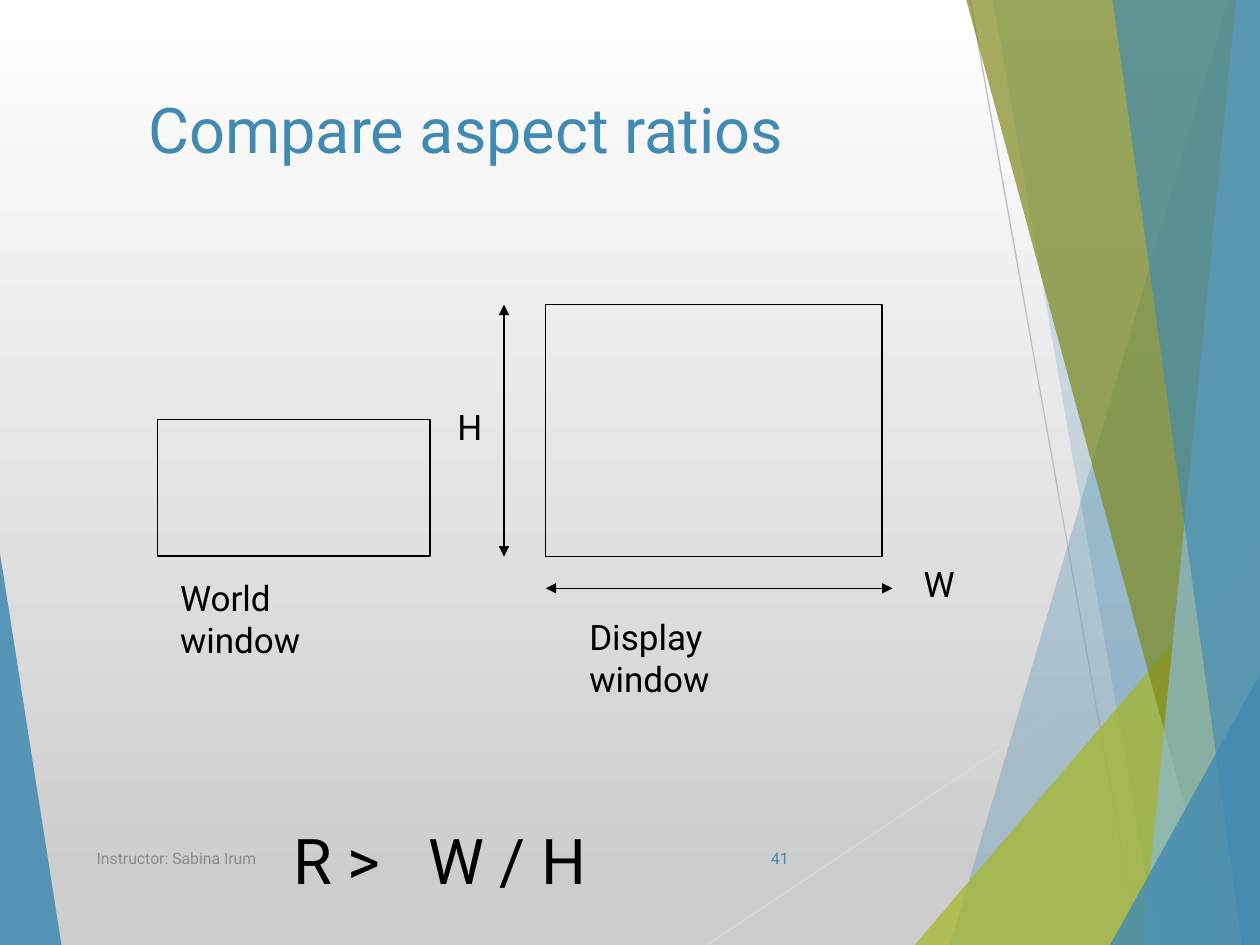
from dataclasses import dataclass

from lxml import etree
from pptx import Presentation
from pptx.dml.color import RGBColor
from pptx.enum.shapes import MSO_CONNECTOR, MSO_SHAPE
from pptx.enum.text import MSO_ANCHOR, MSO_AUTO_SIZE, PP_ALIGN
from pptx.oxml.ns import qn
from pptx.util import Cm, Pt

STRAIGHT = MSO_CONNECTOR.STRAIGHT
RECTANGLE = MSO_SHAPE.RECTANGLE
TOP, MIDDLE = MSO_ANCHOR.TOP, MSO_ANCHOR.MIDDLE
LEFT, RIGHT = PP_ALIGN.LEFT, PP_ALIGN.RIGHT
NO_AUTO_SIZE = MSO_AUTO_SIZE.NONE
TITLE_ONLY = 5
WIDTH, HEIGHT = 25.4, 19.05


@dataclass(frozen=True)
class Theme:
    font: str = "Roboto"
    accent: str = "418AB3"
    sky: str = "8ABAD4"
    lime: str = "A6B727"
    olive: str = "7D891D"
    ink: str = "000000"
    muted: str = "8C8C8C"
    pale_line: str = "D9D9D9"
    gray_line: str = "BFBFBF"
    background_top: str = "FFFFFF"
    background_bottom: str = "CDCDCD"
    title_size: float = 36
    label_size: float = 20
    footer_size: float = 9
    line_width: float = 0.75


THEME = Theme()


def color(value):
    return RGBColor.from_string(value)


def write_text(shape, text, size=THEME.label_size, text_color=THEME.ink,
               align=LEFT, anchor=TOP, wrap=False, right_inset=0.25, tab=None):
    frame = shape.text_frame
    frame.auto_size = NO_AUTO_SIZE
    frame.word_wrap = wrap
    frame.vertical_anchor = anchor
    frame.margin_right = Cm(right_inset)
    paragraph = frame.paragraphs[0]
    paragraph.alignment = align
    if tab:
        tabs = etree.SubElement(paragraph._p.get_or_add_pPr(), qn("a:tabLst"))
        etree.SubElement(tabs, qn("a:tab"), pos=str(Cm(tab)), algn="l")
    run = paragraph.add_run()
    run.text = text
    run.font.name = THEME.font
    run.font.size = Pt(size)
    run.font.color.rgb = color(text_color)


def add_text(slide, text, left, top, width, height, **text_format):
    box = slide.shapes.add_textbox(Cm(left), Cm(top), Cm(width), Cm(height))
    write_text(box, text, **text_format)


def add_line(slide, start, end, line_color=THEME.ink, arrows=False):
    connector = slide.shapes.add_connector(
        STRAIGHT, Cm(start[0]), Cm(start[1]), Cm(end[0]), Cm(end[1]))
    connector.line.color.rgb = color(line_color)
    connector.line.width = Pt(THEME.line_width)
    if arrows:
        line = connector.line._get_or_add_ln()
        for tag in ("a:headEnd", "a:tailEnd"):
            etree.SubElement(line, qn(tag), type="triangle")
    etree.SubElement(connector._element.spPr, qn("a:effectLst"))


def add_facet(slide, top_point, bottom_left, edge, bottom, fill_color, opacity):
    top_left, top = top_point
    points = [(top_left, top), (bottom_left, bottom), (edge, bottom), (edge, top)]
    points = [(x * 100, y * 100) for x, y in points]
    builder = slide.shapes.build_freeform(*points[0], scale=Cm(0.01))
    builder.add_line_segments(points[1:], close=True)
    shape = builder.convert_to_shape()
    shape.shadow.inherit = False
    shape.fill.solid()
    shape.fill.fore_color.rgb = color(fill_color)
    shape.line.fill.background()
    tint = shape._element.spPr.find(qn("a:solidFill"))[0]
    etree.SubElement(tint, qn("a:alpha"), val=str(opacity * 1000))


def add_frame(slide, left, top, width, height):
    frame = slide.shapes.add_shape(RECTANGLE, Cm(left), Cm(top), Cm(width), Cm(height))
    frame.shadow.inherit = False
    frame.fill.background()
    frame.line.color.rgb = color(THEME.ink)
    frame.line.width = Pt(THEME.line_width)


def set_background(slide):
    fill = slide.background.fill
    fill.gradient()
    fill.gradient_angle = 270
    stops = ((0, THEME.background_top), (0.94, THEME.background_bottom))
    for stop, (position, stop_color) in zip(fill.gradient_stops, stops):
        stop.position = position
        stop.color.rgb = color(stop_color)


def add_decoration(slide, left, top, width, height):
    right, bottom = left + width, top + height
    add_facet(slide, (left, top + 11.15), left + 1.24, left, bottom, THEME.accent, 85)
    add_line(slide, (left + 14.25, bottom), (right, top + 11.61), THEME.pale_line)
    add_line(slide, (left + 19.56, top), (left + 22.96, bottom), THEME.gray_line)
    facets = (
        (24.77, 0, 19.15, THEME.accent, 30),
        (20.02, 0, 23.34, THEME.accent, 20),
        (width, 10.9, 18.44, THEME.lime, 72),
        (19.48, 0, 24.64, THEME.olive, 70),
        (24.92, 0, 23.04, THEME.sky, 70),
        (22.43, 0, 25.04, THEME.accent, 65),
        (width, 13.59, 22.38, THEME.accent, 80),
    )
    for x, y, bottom_x, fill_color, opacity in facets:
        add_facet(slide, (left + x, top + y), left + bottom_x, right, bottom,
                  fill_color, opacity)


def add_title(slide, left, top, width, height):
    title = slide.shapes.title
    title.left, title.top = Cm(left), Cm(top)
    title.width, title.height = Cm(width), Cm(height)
    write_text(title, "Compare aspect ratios", size=THEME.title_size,
               text_color=THEME.accent, wrap=True)


def add_world_window(slide, left, top, width, height):
    add_frame(slide, left, top, width, height)
    add_text(slide, "World window", left + 0.21, top + height + 0.28, 4.9, 2.79,
             wrap=True, right_inset=1)


def add_display_window(slide, left, top, width, height):
    bottom = top + height
    add_frame(slide, left, top, width, height)
    add_text(slide, "Display window", left + 0.63, bottom + 1.06, 5.33, 2.79,
             wrap=True, right_inset=1)
    add_line(slide, (left, bottom + 0.64), (left + width + 0.21, bottom + 0.64),
             arrows=True)
    add_text(slide, "W", left + width + 0.59, bottom, 1.14, 1.09)
    add_line(slide, (left - 0.84, bottom), (left - 0.84, top), arrows=True)
    add_text(slide, "H", left - 2.03, top + 1.91, 0.99, 1.09)


def add_footer(slide, left, top, width, height):
    add_text(slide, "Instructor: Sabina Irum", left, top, width - 1.6, height,
             size=THEME.footer_size, text_color=THEME.muted, anchor=MIDDLE)
    add_text(slide, "41", left + width - 1.42, top, 1.42, height, wrap=True,
             size=THEME.footer_size, text_color=THEME.accent, align=RIGHT, anchor=MIDDLE)


def main():
    presentation = Presentation()
    presentation.slide_width, presentation.slide_height = Cm(WIDTH), Cm(HEIGHT)
    slide = presentation.slides.add_slide(presentation.slide_layouts[TITLE_ONLY])
    set_background(slide)
    add_decoration(slide, 0, 0, WIDTH, HEIGHT)
    add_title(slide, 2.74, 1.7, 17.63, 3.66)
    add_world_window(slide, 3.17, 8.46, 5.5, 2.75)
    add_display_window(slide, 11, 6.14, 6.78, 5.08)
    add_text(slide, "R >\tW / H", 5.66, 16.43, 7.49, 1.78,
             size=THEME.title_size, wrap=True, tab=2.72)
    add_footer(slide, 1.7, 16.79, 14.45, 1.02)
    presentation.save("out.pptx")


if __name__ == "__main__":
    main()
